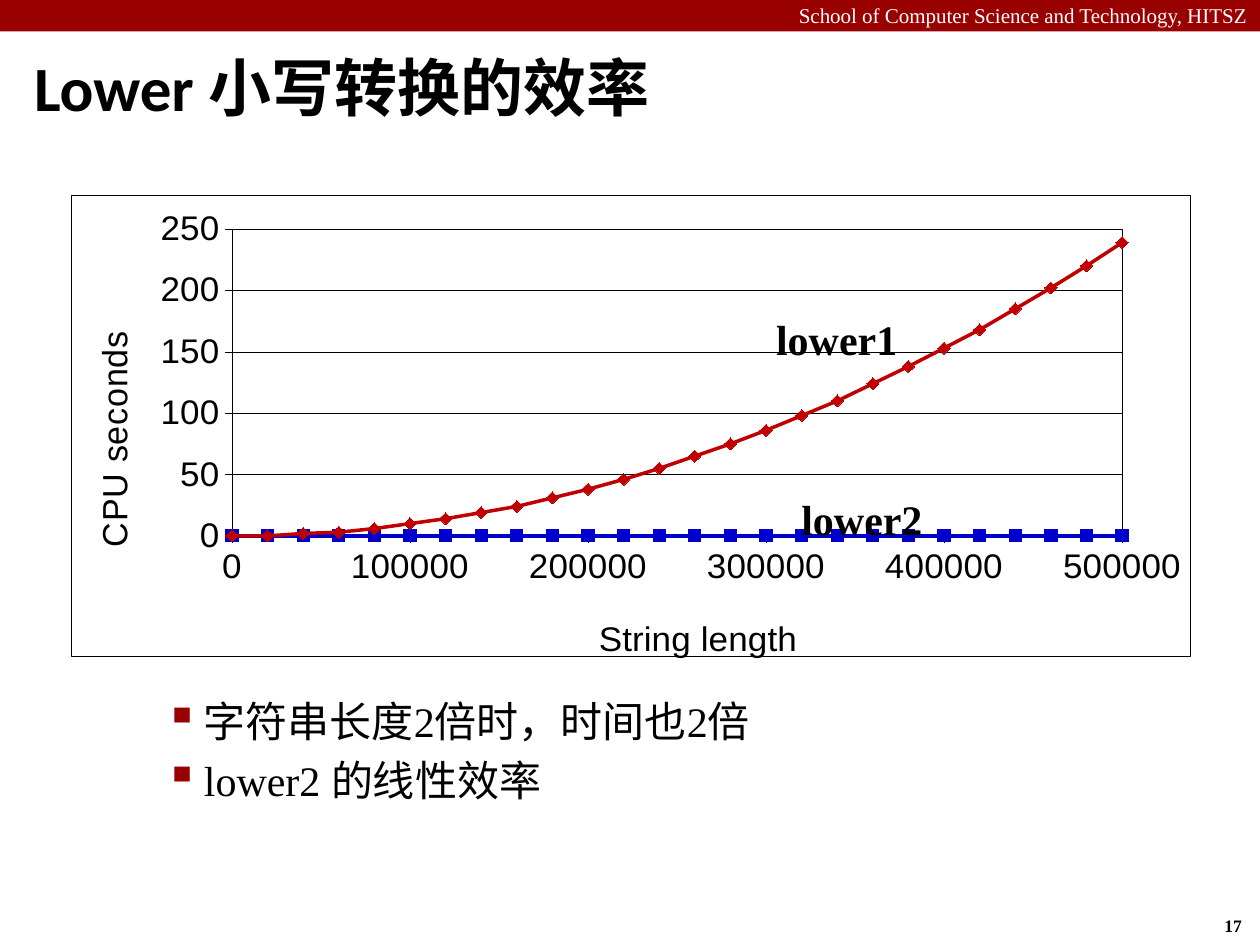
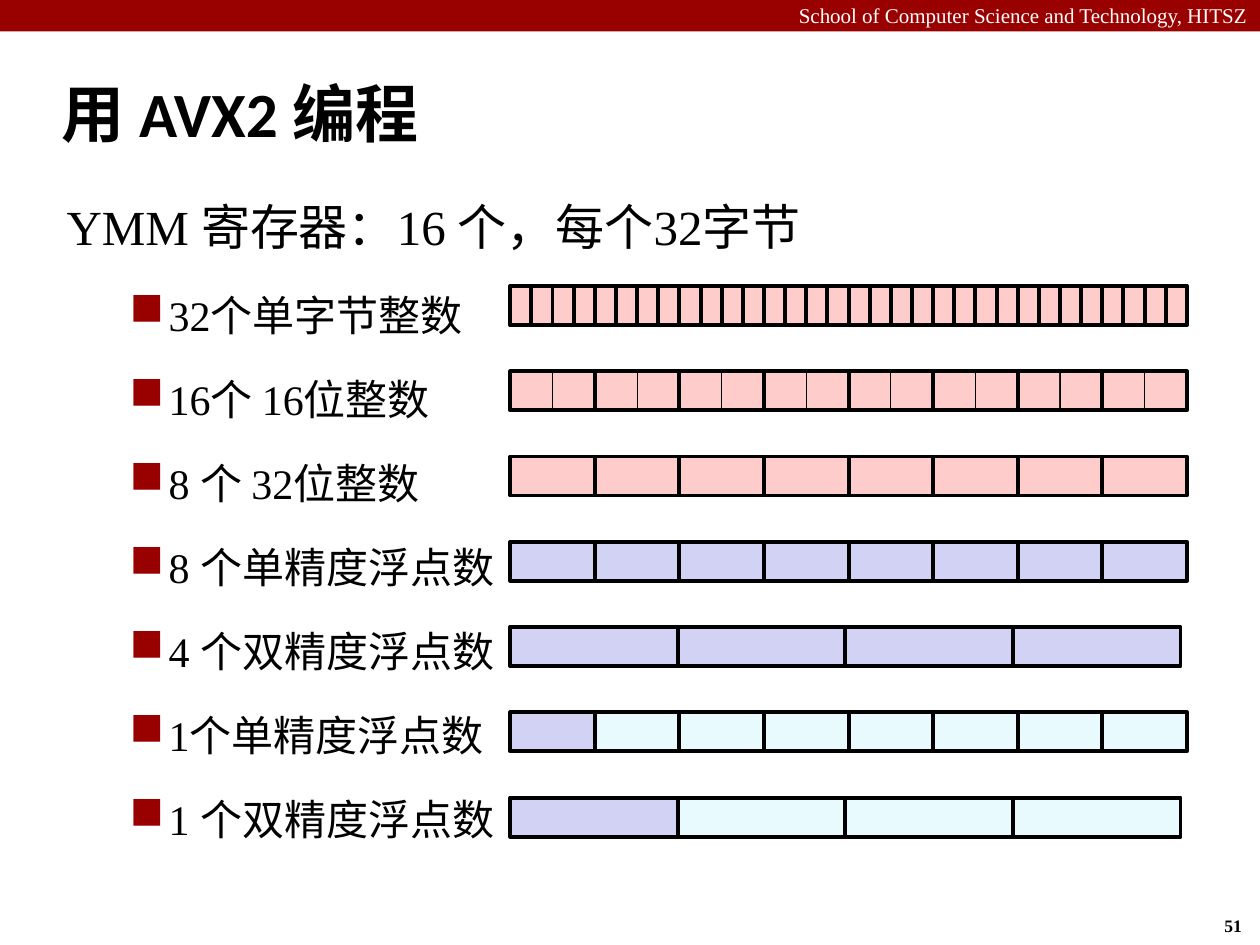
from lxml import etree
from pptx import Presentation
from pptx.chart.data import XyChartData
from pptx.dml.color import RGBColor
from pptx.enum.chart import XL_CHART_TYPE, XL_MARKER_STYLE, XL_TICK_MARK
from pptx.enum.shapes import MSO_SHAPE
from pptx.enum.text import MSO_ANCHOR, MSO_AUTO_SIZE, PP_ALIGN
from pptx.oxml import parse_xml
from pptx.oxml.ns import nsdecls, qn
from pptx.util import Inches, Pt

BLACK = RGBColor(0x00, 0x00, 0x00)
WHITE = RGBColor(0xFF, 0xFF, 0xFF)
BAND_RED = RGBColor(0x99, 0x00, 0x00)
CURVE_RED = RGBColor(0xC0, 0x00, 0x00)
CURVE_BLUE = RGBColor(0x00, 0x00, 0xCC)
INTEGER_PINK = RGBColor(0xFF, 0xCC, 0xCC)
FLOAT_LILAC = RGBColor(0xD2, 0xD2, 0xF4)
UNUSED_CYAN = RGBColor(0xE9, 0xFA, 0xFF)

BODY_FONT = "Times New Roman"
TITLE_FONT = "Calibri"
CHART_FONT = "Arial"
TITLE_ONLY = 5

LOWER1_SECONDS = [0, 0, 2, 3, 6, 10, 14, 19, 24, 31, 38, 46, 55, 65, 75, 86, 98,
                  110, 124, 138, 153, 168, 185, 202, 220, 239]
LENGTH_STEP = 20000


def set_font(font, size, color=BLACK, bold=False, name=BODY_FONT):
    """Apply size, colour, weight and typeface to a font."""
    font.size = Pt(size)
    font.color.rgb = color
    font.bold = bold
    font.name = name


def add_bullet(paragraph, character):
    """Give a paragraph a hanging indent and a red bullet."""
    properties = paragraph._p.get_or_add_pPr()
    properties.set("marL", str(Inches(0.81)))
    properties.set("indent", str(Inches(-0.31)))
    color = etree.SubElement(properties, qn("a:buClr"))
    etree.SubElement(color, qn("a:srgbClr"), val=str(BAND_RED))
    etree.SubElement(properties, qn("a:buSzPct"), val="110000")
    etree.SubElement(properties, qn("a:buChar"), char=character)


def place_in_chart(parent, index, **fractions):
    """Set a manual layout, in fractions of the chart, on a chart part."""
    for old_layout in parent.findall(qn("c:layout")):
        parent.remove(old_layout)
    layout = etree.Element(qn("c:layout"))
    manual = etree.SubElement(layout, qn("c:manualLayout"))
    if "w" in fractions:
        etree.SubElement(manual, qn("c:layoutTarget"), val="inner")
    for mode in ("xMode", "yMode"):
        etree.SubElement(manual, qn(f"c:{mode}"), val="edge")
    for key, value in fractions.items():
        etree.SubElement(manual, qn(f"c:{key}"), val=str(value))
    parent.insert(index, layout)


def chart_frame(fill):
    """Return chart shape properties with a thin black border."""
    return parse_xml(
        f'<c:spPr {nsdecls("c", "a")}>{fill}<a:ln w="{Pt(0.25)}"><a:solidFill>'
        f'<a:srgbClr val="{BLACK}"/></a:solidFill></a:ln></c:spPr>')


class Deck:
    """Holds the shared style and the current slide."""

    def __init__(self):
        self.presentation = Presentation()
        self.presentation.slide_width = Inches(10)
        self.presentation.slide_height = Inches(7.5)
        self.slide = None

    def new_slide(self, title, number, left, top, width, height):
        layout = self.presentation.slide_layouts[TITLE_ONLY]
        self.slide = self.presentation.slides.add_slide(layout)
        self.rectangle(0, 0, 10, 0.25, BAND_RED)
        header = self.text("School of Computer Science and Technology, HITSZ",
                           0, -0.03, 10, 0.3, 12, WHITE)
        header.paragraphs[0].alignment = PP_ALIGN.RIGHT
        self.text(number, 9.62, 7.21, 0.37, 0.27, 10, bold=True, wrap=False)
        shape = self.slide.shapes.title
        shape.left, shape.top = Inches(left), Inches(top)
        shape.width, shape.height = Inches(width), Inches(height)
        frame = shape.text_frame
        frame.text = title
        frame.vertical_anchor = MSO_ANCHOR.MIDDLE
        frame.auto_size = MSO_AUTO_SIZE.NONE
        frame.paragraphs[0].alignment = PP_ALIGN.LEFT
        set_font(frame.paragraphs[0].font, 36, bold=True, name=TITLE_FONT)

    def rectangle(self, left, top, width, height, fill=None, line_width=None):
        shape = self.slide.shapes.add_shape(
            MSO_SHAPE.RECTANGLE, Inches(left), Inches(top), Inches(width), Inches(height))
        shape.shadow.inherit = False
        if fill is None:
            shape.fill.background()
        else:
            shape.fill.solid()
            shape.fill.fore_color.rgb = fill
        if line_width is None:
            shape.line.fill.background()
        else:
            shape.line.color.rgb = BLACK
            shape.line.width = Pt(line_width)

    def text(self, text, left, top, width, height, size, color=BLACK, bold=False, wrap=True):
        box = self.slide.shapes.add_textbox(
            Inches(left), Inches(top), Inches(width), Inches(height))
        frame = box.text_frame
        frame.word_wrap = wrap
        frame.text = text
        set_font(frame.paragraphs[0].font, size, color, bold)
        return frame

    def curve_label(self, text, left, top):
        frame = self.text(text, left, top, 1, 0.43, 24, bold=True, wrap=False)
        frame.margin_left = frame.margin_top = Inches(0.03)
        frame.margin_right = frame.margin_bottom = 0

    def bullets(self, lines, character, left, top, width, height, heading=None, spacing=1.0):
        frame = self.text(heading or "", left, top, width, height, 28)
        if heading:
            frame.paragraphs[0].line_spacing = 1.05
        for index, line in enumerate(lines):
            first = index == 0 and not heading
            paragraph = frame.paragraphs[0] if first else frame.add_paragraph()
            paragraph.text = line
            add_bullet(paragraph, character)
            paragraph.line_spacing = spacing
            if not first:
                paragraph.space_before = Pt(4.8)
            set_font(paragraph.font, 24)

    def cell_row(self, top, count, span, fills, line_width=2.25):
        width = span / count
        for index in range(count):
            fill = fills[min(index, len(fills) - 1)]
            self.rectangle(4.05 + index * width, top, width, 0.31, fill, line_width)

    def axis(self, axis, title, maximum, unit, title_x, title_y):
        axis.minimum_scale, axis.maximum_scale = 0, maximum
        axis.major_unit = unit
        axis.major_tick_mark = XL_TICK_MARK.OUTSIDE
        axis.minor_tick_mark = XL_TICK_MARK.NONE
        axis.format.line.color.rgb = BLACK
        axis.format.line.width = Pt(0.25)
        set_font(axis.tick_labels.font, 20, name=CHART_FONT)
        axis.axis_title.text_frame.text = title
        set_font(axis.axis_title.text_frame.paragraphs[0].font, 20, name=CHART_FONT)
        place_in_chart(axis.axis_title._element, 1, x=title_x, y=title_y)

    def timing_chart(self, left, top, width, height):
        data = XyChartData()
        timings = [LOWER1_SECONDS, [0] * len(LOWER1_SECONDS)]
        for number, seconds in enumerate(timings, 1):
            series = data.add_series(f"Series {number}")
            for index, value in enumerate(seconds):
                series.add_data_point(index * LENGTH_STEP, value)
        chart = self.slide.shapes.add_chart(
            XL_CHART_TYPE.XY_SCATTER_SMOOTH, Inches(left), Inches(top),
            Inches(width), Inches(height), data).chart
        chart.has_legend = False
        chart.has_title = False
        set_font(chart.font, 20, name=CHART_FONT)
        chart.plots[0].vary_by_categories = False

        self.axis(chart.category_axis, "String length", 500000, 100000, 0.466, 0.9)
        self.axis(chart.value_axis, "CPU seconds", 250, 50, 0.013, 0.293)
        chart.category_axis.has_major_gridlines = False
        chart.value_axis.has_major_gridlines = True
        gridline = chart.value_axis.major_gridlines.format.line
        gridline.color.rgb = BLACK
        gridline.width = Pt(0.25)

        styles = [(CURVE_RED, XL_MARKER_STYLE.DIAMOND), (CURVE_BLUE, XL_MARKER_STYLE.SQUARE)]
        for series, (color, marker_style) in zip(chart.plots[0].series, styles):
            series.smooth = True
            series.format.line.color.rgb = color
            series.format.line.width = Pt(2)
            marker = series.marker
            marker.style, marker.size = marker_style, 7
            marker.format.fill.solid()
            marker.format.fill.fore_color.rgb = color
            marker.format.line.color.rgb = color

        chart_element = chart._chartSpace.find(qn("c:chart"))
        plot_area = chart_element.find(qn("c:plotArea"))
        place_in_chart(plot_area, 0, x=0.144, y=0.073, w=0.795, h=0.666)
        plot_area.append(chart_frame("<a:noFill/>"))
        chart_element.addnext(chart_frame(
            f'<a:solidFill><a:srgbClr val="{WHITE}"/></a:solidFill>'))


def lower_slide(deck):
    """Build the slide on the cost of lower-case conversion."""
    deck.new_slide("Lower 小写转换的效率", "17", 0.17, 0.37, 9.58, 0.63)
    deck.timing_chart(0.56, 1.55, 8.89, 3.76)
    deck.curve_label("lower1", 6.13, 2.46)
    deck.curve_label("lower2", 6.33, 3.89)
    deck.bullets(["字符串长度2倍时，时间也2倍", "lower2 的线性效率"], "▪", 0.71, 5.47, 9.09, 0.99)


def avx2_slide(deck):
    """Build the slide on the contents of a YMM register."""
    deck.new_slide("用 AVX2 编程", "51", 0.39, 0.48, 9.61, 0.83)
    rows = [
        ("32个单字节整数", 32, 5.37, [INTEGER_PINK], 2.25),
        ("16个 16位整数", 16, 5.37, [INTEGER_PINK], 0.5),
        ("8 个 32位整数", 8, 5.37, [INTEGER_PINK], 2.25),
        ("8 个单精度浮点数", 8, 5.37, [FLOAT_LILAC], 2.25),
        ("4 个双精度浮点数", 4, 5.32, [FLOAT_LILAC], 2.25),
        ("1个单精度浮点数", 8, 5.37, [FLOAT_LILAC, UNUSED_CYAN], 2.25),
        ("1 个双精度浮点数", 4, 5.32, [FLOAT_LILAC, UNUSED_CYAN], 2.25),
    ]
    deck.bullets([row[0] for row in rows], "■", 0.43, 1.49, 9.4, 5.76,
                 heading="YMM 寄存器：16 个，每个32字节", spacing=1.5)
    first_top, last_top = 2.27, 6.33
    pitch = (last_top - first_top) / (len(rows) - 1)
    for index, (_, count, span, fills, line_width) in enumerate(rows):
        deck.cell_row(first_top + index * pitch, count, span, fills, line_width)
    deck.cell_row(first_top + pitch, 8, 5.37, [None])


def main():
    """Build and save the presentation."""
    deck = Deck()
    lower_slide(deck)
    avx2_slide(deck)
    deck.presentation.save("out.pptx")


if __name__ == "__main__":
    main()
